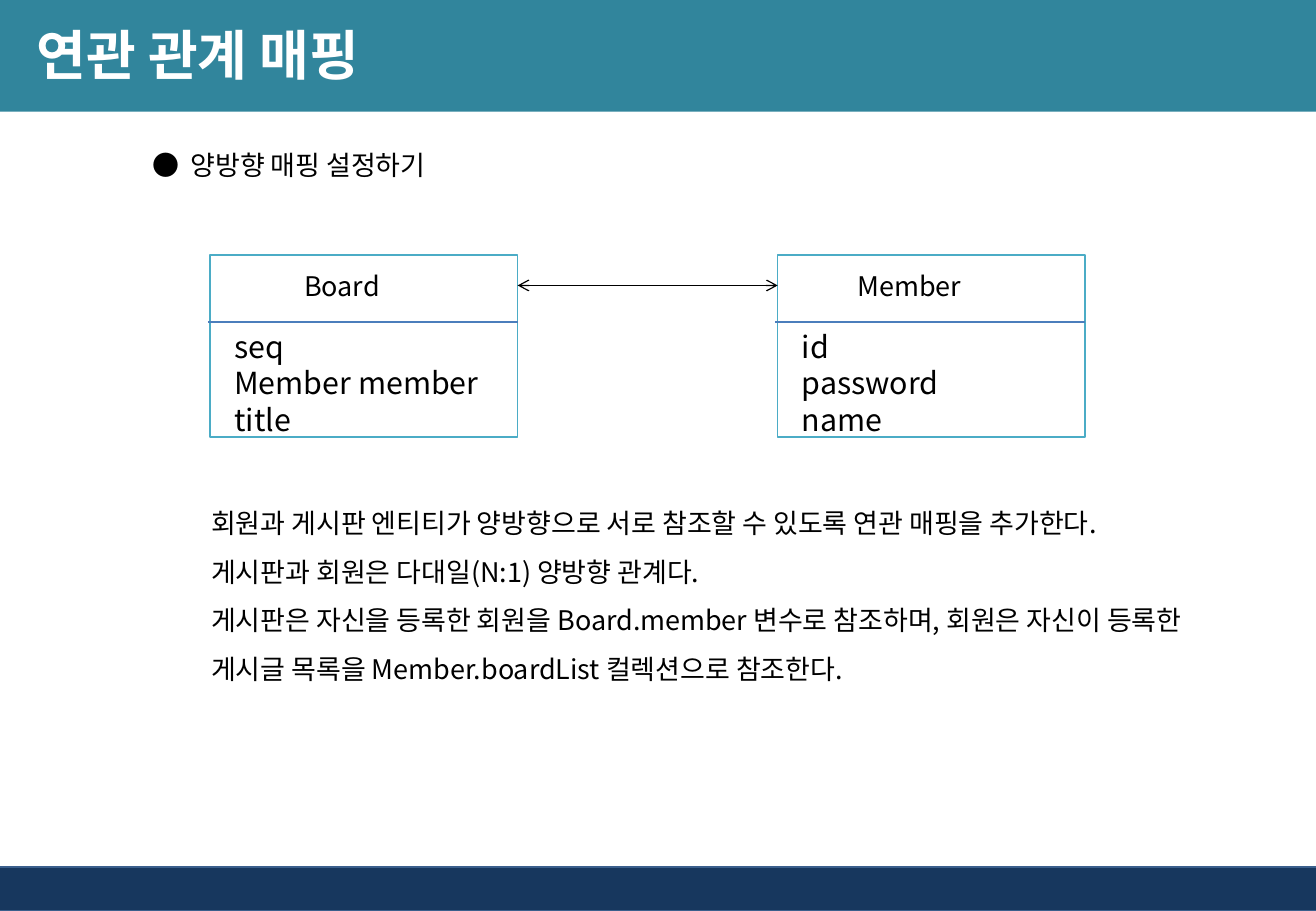
from dataclasses import dataclass

from lxml.etree import SubElement
from pptx import Presentation
from pptx.dml.color import RGBColor
from pptx.enum.shapes import MSO_CONNECTOR, MSO_SHAPE
from pptx.enum.text import MSO_ANCHOR, MSO_AUTO_SIZE, PP_ALIGN
from pptx.oxml.ns import qn
from pptx.util import Emu, Pt

PX = 9144  # 100 px to the inch
FONT = "Noto Sans CJK KR"
COLORS = {
    "footer": "17375E",
    "footer_edge": "3A5F8C",
    "header": "31859C",
    "white": "FFFFFF",
    "black": "000000",
    "entity_edge": "4BACC6",
    "divider": "4B7EBC",
}


@dataclass(frozen=True)
class Box:
    left: int
    top: int
    width: int
    height: int


@dataclass(frozen=True)
class Label:
    box: Box
    lines: tuple[str, ...]
    size: int = 16
    color: str = "black"
    bold: bool = False
    align: PP_ALIGN = PP_ALIGN.LEFT
    spacing: float = 1.0
    bullet: str = ""
    wrap: bool = True
    grow: bool = True
    anchor: MSO_ANCHOR = MSO_ANCHOR.TOP
    inset: int = 10


@dataclass(frozen=True)
class Entity:
    left: int
    name: str
    fields: tuple[str, ...]


ENTITY_TOP, ENTITY_WIDTH, ENTITY_HEIGHT = 210, 253, 150
DIVIDER_Y, ARROW_Y = 265, 235
BOARD = Entity(173, "Board", ("seq", "Member member", "title"))
MEMBER = Entity(640, "Member", ("id", "password", "name"))

TITLE = Label(Box(0, -3, 874, 94), ("연관 관계 매핑",), size=32, color="white", bold=True,
              grow=False, anchor=MSO_ANCHOR.MIDDLE, inset=30)
TOPIC = Label(Box(116, 117, 269, 37), ("양방향 매핑 설정하기",), bullet="●", wrap=False)
EXPLANATION = Label(
    Box(164, 399, 843, 172),
    (
        "회원과 게시판 엔티티가 양방향으로 서로 참조할 수 있도록 연관 매핑을 추가한다.",
        "게시판과 회원은 다대일(N:1) 양방향 관계다.",
        "게시판은 자신을 등록한 회원을 Board.member 변수로 참조하며, 회원은 자신이 "
        "등록한 게시글 목록을 Member.boardList 컬렉션으로 참조한다.",
    ),
    spacing=1.5,
)


def px(length: int) -> Emu:
    return Emu(length * PX)


def rgb(name: str) -> RGBColor:
    return RGBColor.from_string(COLORS[name])


def place(box: Box) -> tuple[Emu, ...]:
    return tuple(px(length) for length in (box.left, box.top, box.width, box.height))


def set_all(target: object, values: dict[str, object]) -> None:
    for name, value in values.items():
        setattr(target, name, value)


def add_rectangle(page, box: Box, fill: str, edge: str = "") -> None:
    shape = page.shapes.add_shape(MSO_SHAPE.RECTANGLE, *place(box))
    shape.shadow.inherit = False
    shape.fill.solid()
    shape.fill.fore_color.rgb = rgb(fill)
    if edge:
        shape.line.color.rgb = rgb(edge)
        shape.line.width = Pt(1)
    else:
        shape.line.fill.background()


def add_line(page, start: int, end: int, y: int, color: str, arrows: bool = False) -> None:
    line = page.shapes.add_connector(MSO_CONNECTOR.STRAIGHT, px(start), px(y), px(end), px(y))
    line.line.color.rgb = rgb(color)
    line.line.width = Pt(0.75)
    if arrows:
        for tag in ("a:headEnd", "a:tailEnd"):
            SubElement(line.line._get_or_add_ln(), qn(tag), type="arrow")
    SubElement(line._element.spPr, qn("a:effectLst"))


def add_bullet(para, symbol: str) -> None:
    properties = para._p.get_or_add_pPr()
    properties.set("marL", str(px(31)))
    properties.set("indent", str(px(-31)))
    SubElement(properties, qn("a:buFont"), typeface=FONT)
    SubElement(properties, qn("a:buChar"), char=symbol)


def add_label(page, label: Label) -> None:
    frame = page.shapes.add_textbox(*place(label.box)).text_frame
    set_all(frame, {
        "word_wrap": label.wrap,
        "auto_size": MSO_AUTO_SIZE.SHAPE_TO_FIT_TEXT if label.grow else MSO_AUTO_SIZE.NONE,
        "vertical_anchor": label.anchor,
        "margin_left": px(label.inset),
    })
    for index, line in enumerate(label.lines):
        para = frame.add_paragraph() if index else frame.paragraphs[0]
        set_all(para, {"alignment": label.align, "line_spacing": label.spacing})
        if label.bullet:
            add_bullet(para, label.bullet)
        span = para.add_run()
        span.text = line
        set_all(span.font, {"name": FONT, "size": Pt(label.size), "bold": label.bold})
        span.font.color.rgb = rgb(label.color)
        SubElement(span._r.get_or_add_rPr(), qn("a:ea"), typeface=FONT)


def add_entity(page, entity: Entity) -> None:
    left, right = entity.left, entity.left + ENTITY_WIDTH
    add_rectangle(page, Box(left, ENTITY_TOP, ENTITY_WIDTH, ENTITY_HEIGHT),
                  "white", "entity_edge")
    add_line(page, left - 2, right, DIVIDER_Y, "divider")
    add_label(page, Label(Box(left + 32, 217, 153, 37), (entity.name,),
                          align=PP_ALIGN.CENTER))
    add_label(page, Label(Box(left + 10, DIVIDER_Y, 243, 101), entity.fields, size=18))


def main() -> None:
    deck = Presentation()
    set_all(deck, {"slide_width": px(1083), "slide_height": px(750)})
    page = deck.slides.add_slide(deck.slide_layouts[6])

    # Footer and header bands
    add_rectangle(page, Box(-4, 714, 1088, 36), "footer", "footer_edge")
    add_rectangle(page, Box(0, 0, 1083, 92), "header")
    add_label(page, TITLE)
    add_label(page, TOPIC)

    # Entities and the two-way relation between them
    for entity in (BOARD, MEMBER):
        add_entity(page, entity)
    add_line(page, BOARD.left + ENTITY_WIDTH, MEMBER.left, ARROW_Y, "black", arrows=True)

    # Explanation
    add_label(page, EXPLANATION)

    deck.save("out.pptx")


if __name__ == "__main__":
    main()
